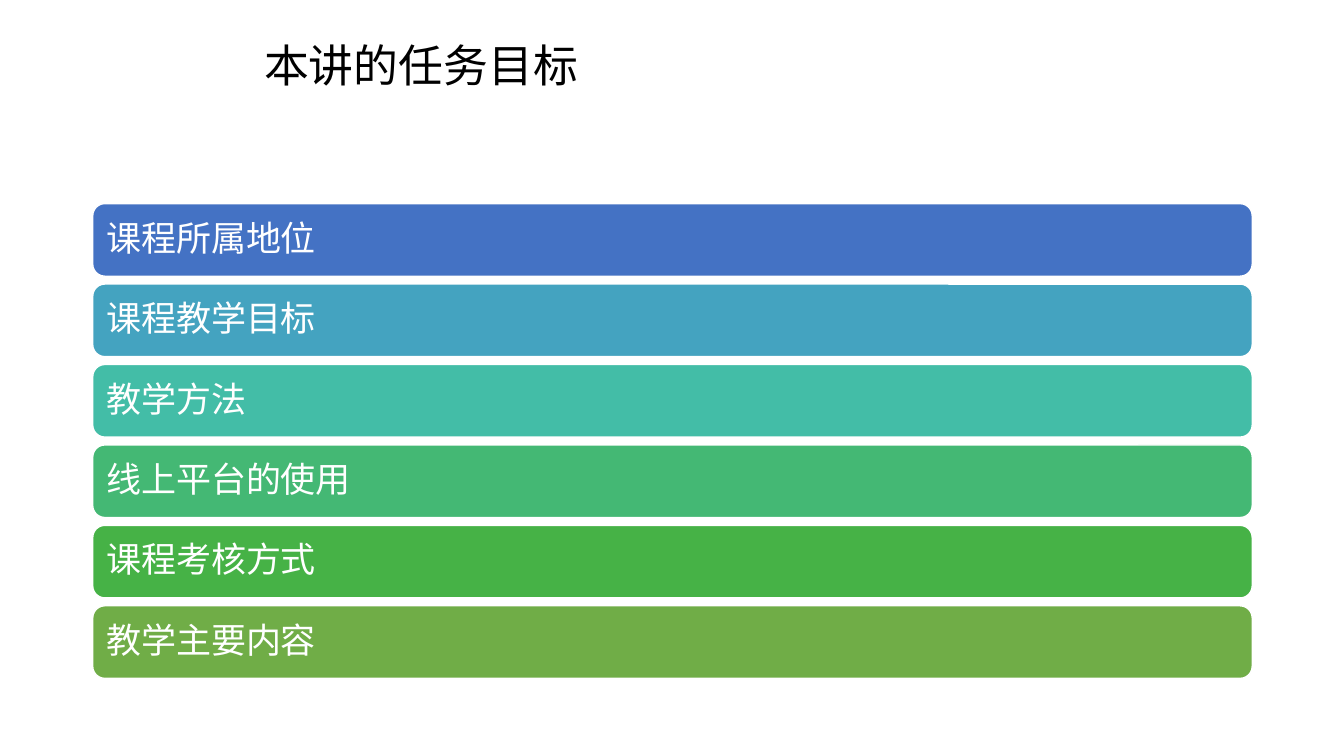
from dataclasses import dataclass

from lxml.etree import SubElement
from pptx import Presentation
from pptx.dml.color import RGBColor
from pptx.enum.shapes import MSO_SHAPE
from pptx.enum.text import MSO_ANCHOR, MSO_AUTO_SIZE, PP_ALIGN
from pptx.oxml.ns import qn
from pptx.util import Inches, Pt


@dataclass(frozen=True)
class Theme:
    font: str = "Noto Sans CJK SC"
    title_size: int = 32
    goal_size: int = 25
    black: str = "000000"
    white: str = "FFFFFF"


@dataclass(frozen=True)
class Box:
    left: float
    top: float
    width: float
    height: float

    def lengths(self):
        return [Inches(value) for value in (self.left, self.top, self.width, self.height)]


THEME = Theme()
TITLE = "本讲的任务目标"
GOALS = [
    ("课程所属地位", "4472C4"),
    ("课程教学目标", "44A3C0"),
    ("教学方法", "43BDA7"),
    ("线上平台的使用", "44B874"),
    ("课程考核方式", "46B246"),
    ("教学主要内容", "70AD47"),
]


def write_text(shape, text, size, color):
    frame = shape.text_frame
    frame.word_wrap = True
    frame.auto_size = MSO_AUTO_SIZE.NONE
    frame.vertical_anchor = MSO_ANCHOR.MIDDLE
    frame.text = text
    paragraph = frame.paragraphs[0]
    paragraph.alignment = PP_ALIGN.LEFT
    paragraph.line_spacing = 0.9
    paragraph.font.name = THEME.font
    paragraph.font.size = Pt(size)
    paragraph.font.color.rgb = RGBColor.from_string(color)
    properties = paragraph._p.get_or_add_pPr().find(qn("a:defRPr"))
    SubElement(properties, qn("a:ea")).set("typeface", THEME.font)


def place_title(slide, box):
    title = slide.shapes.title
    title.left, title.top, title.width, title.height = box.lengths()
    write_text(title, TITLE, THEME.title_size, THEME.black)


def add_goal(slide, box, text, color):
    shape = slide.shapes.add_shape(MSO_SHAPE.ROUNDED_RECTANGLE, *box.lengths())
    shape.shadow.inherit = False
    shape.fill.solid()
    shape.fill.fore_color.rgb = RGBColor.from_string(color)
    shape.line.color.rgb = RGBColor.from_string(THEME.white)
    shape.line.width = Pt(1)
    write_text(shape, text, THEME.goal_size, THEME.white)
    frame = shape.text_frame
    frame.margin_left = frame.margin_right = Inches(0.1)
    frame.margin_top = frame.margin_bottom = Inches(0.1)


def add_goal_list(slide, box, goal_height):
    pitch = (box.height - goal_height) / (len(GOALS) - 1)
    for index, (text, color) in enumerate(GOALS):
        goal_box = Box(box.left, box.top + index * pitch, box.width, goal_height)
        add_goal(slide, goal_box, text, color)


def main():
    presentation = Presentation()
    presentation.slide_width = Inches(13.33)
    presentation.slide_height = Inches(7.5)
    slide = presentation.slides.add_slide(presentation.slide_layouts.get_by_name("Title Only"))
    place_title(slide, Box(2.52, 0.32, 7.12, 0.71))
    add_goal_list(slide, Box(0.92, 2.02, 11.5, 4.71), 0.72)
    presentation.save("out.pptx")


if __name__ == "__main__":
    main()
